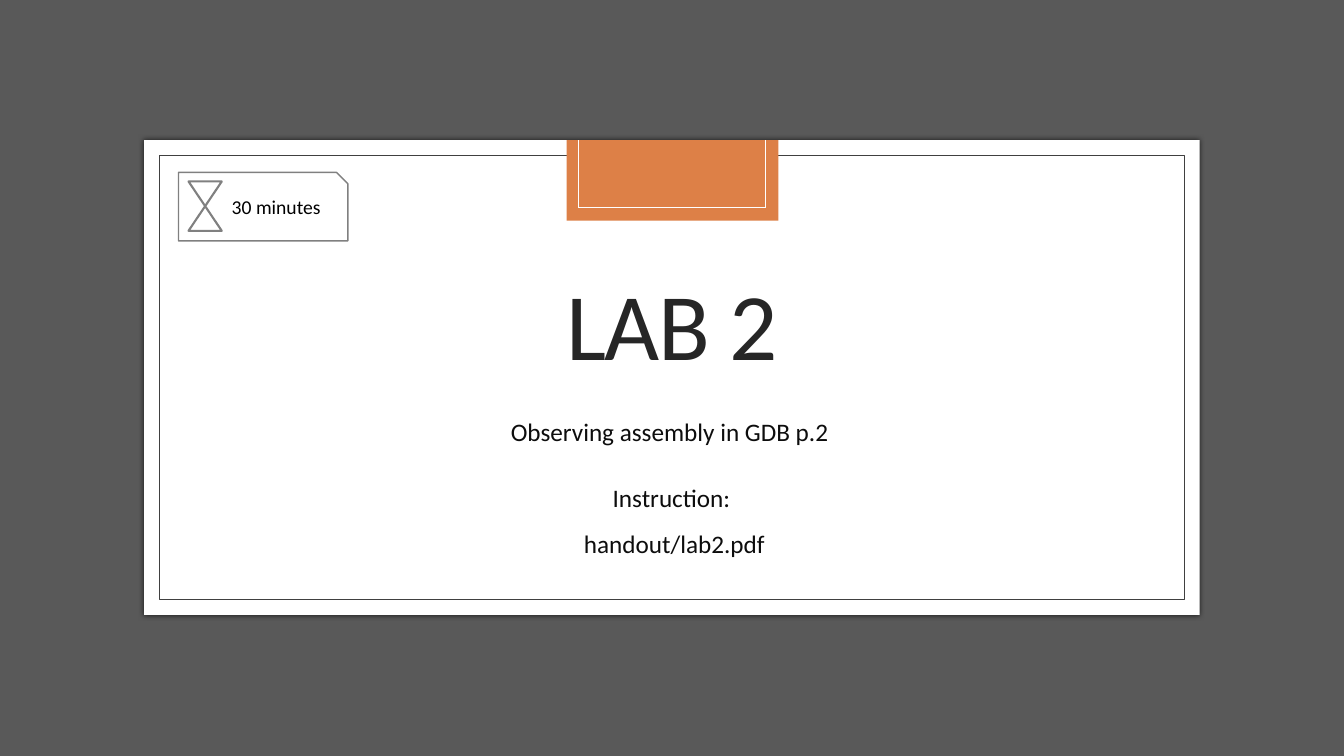
from pptx import Presentation
from pptx.dml.color import RGBColor
from pptx.enum.shapes import MSO_CONNECTOR, MSO_SHAPE as Kind
from pptx.enum.text import MSO_ANCHOR as Anchor, MSO_AUTO_SIZE as Fit, PP_ALIGN as Align
from pptx.oxml import parse_xml
from pptx.util import Pt

PX = 9144  # 100 px to the inch
NS = 'xmlns:a="http://schemas.openxmlformats.org/drawingml/2006/main"'
theme = {
    "font": "Calibri",
    "back": "595959", "panel": "FFFFFF", "frame": "404040", "tab": "DD8047",
    "icon": "808080", "title": "262626", "body": "0D0D0D", "badge": "000000",
    "title_pt": 68, "body_pt": 18, "badge_pt": 14,
}


def draw(kind, box, fill=None, line=None, width=1):
    shape = slide.shapes.add_shape(kind, *[n * PX for n in box])
    shape.shadow.inherit = False
    if fill:
        shape.fill.solid()
        shape.fill.fore_color.rgb = RGBColor.from_string(theme[fill])
    else:
        shape.fill.background()
    if line:
        shape.line.color.rgb = RGBColor.from_string(theme[line])
        shape.line.width = Pt(width)
    else:
        shape.line.fill.background()
    return shape


def write(shape, box, lines, role, space=1.0, align=Align.CENTER, anchor=Anchor.TOP, fit=Fit.NONE):
    shape.left, shape.top, shape.width, shape.height = [n * PX for n in box]
    frame = shape.text_frame
    frame.word_wrap = True
    frame.auto_size = fit
    frame.vertical_anchor = anchor
    for i, text in enumerate(lines):
        para = frame.add_paragraph() if i else frame.paragraphs[0]
        para.alignment = align
        para.line_spacing = space
        para.space_before = Pt(9 if i else 0)
        run = para.add_run()
        run.text = text
        run.font.name = theme["font"]
        run.font.size = Pt(theme[role + "_pt"])
        run.font.color.rgb = RGBColor.from_string(theme[role])


deck = Presentation()
deck.slide_width, deck.slide_height = 1333 * PX, 750 * PX
slide = deck.slides.add_slide(deck.slide_layouts[0])
title, body = slide.placeholders

# Backdrop, panel with soft shadow, and inner frame
draw(Kind.RECTANGLE, (0, 0, 1333, 750), "back")
panel = draw(Kind.RECTANGLE, (143, 139, 1047, 471), "panel")
glow = parse_xml(
    f'<a:outerShdw {NS} blurRad="50800" dist="0" dir="0" algn="ctr" rotWithShape="0">'
    '<a:srgbClr val="000000"><a:alpha val="66000"/></a:srgbClr></a:outerShdw>')
panel.element.spPr.find("{*}effectLst").append(glow)
draw(Kind.RECTANGLE, (158, 154, 1017, 441), line="frame", width=0.5)

# Orange tab with a white outline open at the top
draw(Kind.RECTANGLE, (562, 139, 210, 80), "tab")
left, right, top, low = 574, 759, 139, 206
for ends in ((left, top, left, low), (right, top, right, low), (left, low, right, low)):
    rule = slide.shapes.add_connector(MSO_CONNECTOR.STRAIGHT, *[n * PX for n in ends])
    rule.line.color.rgb = RGBColor.from_string(theme["panel"])
    rule.line.width = Pt(0.5)
    rule.element.spPr.append(parse_xml(f"<a:effectLst {NS}/>"))

# Title and subtitle, brought in front of the panel
for holder in (title, body):
    slide.shapes.element.append(holder.element)
write(title, (178, 249, 977, 160), ["LAB 2"], "title", 0.83, anchor=Anchor.MIDDLE)
title.text_frame.paragraphs[0].runs[0].font.element.set("spc", "-100") if hasattr(
    title.text_frame.paragraphs[0].runs[0].font, "element") else \
    title.text_frame.paragraphs[0].runs[0]._r.get_or_add_rPr().set("spc", "-100")
write(body, (178, 402, 978, 50), ["Observing assembly in GDB p.2 "], "body", 1.2)

# Instruction
note = slide.shapes.add_textbox(0, 0, PX, PX)
write(note, (177, 471, 978, 91), ["Instruction:", " handout/lab2.pdf"], "body", 1.1)

# Time badge with hourglass
draw(Kind.SNIP_1_RECTANGLE, (177, 171, 168, 68), line="icon")
draw(Kind.FLOWCHART_COLLATE, (187, 180, 33, 49), line="icon", width=1.5)
badge = slide.shapes.add_textbox(0, 0, PX, PX)
write(badge, (220, 188, 126, 34), ["30 minutes"], "badge", align=Align.LEFT, fit=Fit.SHAPE_TO_FIT_TEXT)

deck.save("out.pptx")
